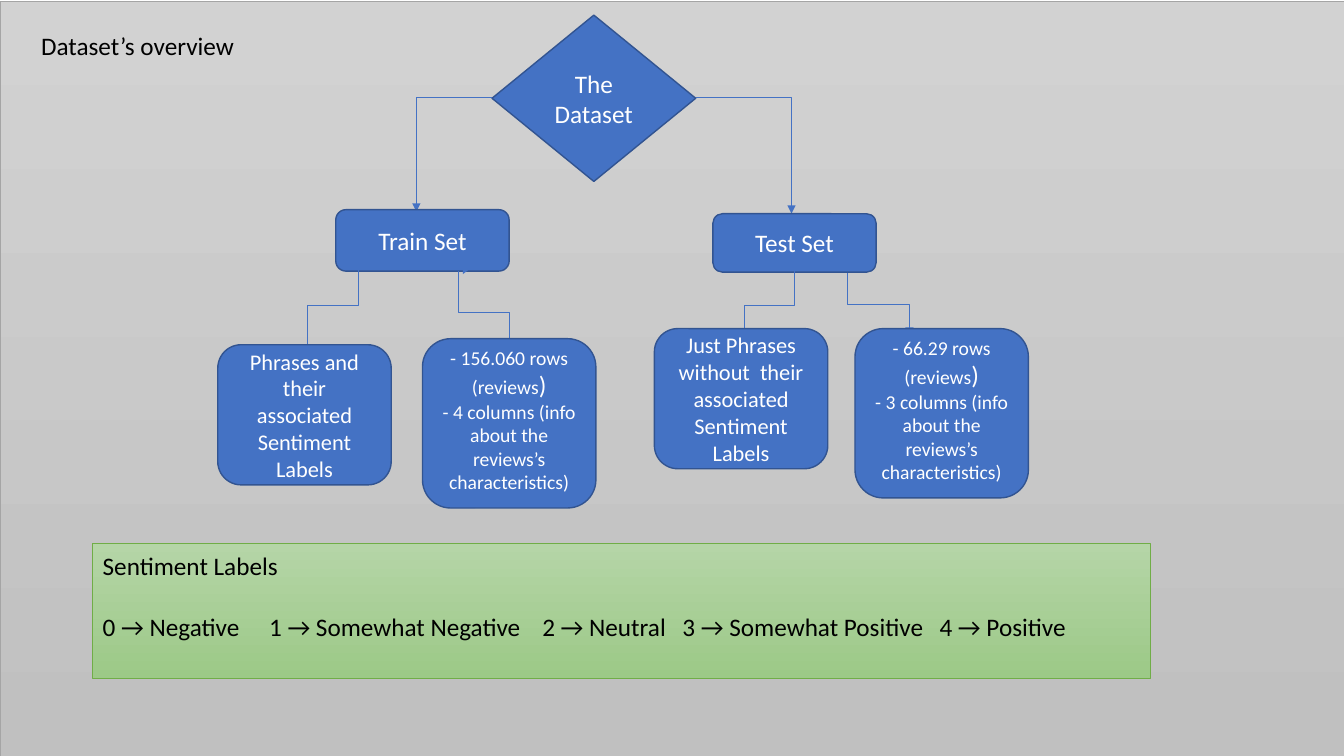
"""Build the slide that charts a review dataset and its sentiment labels."""
from dataclasses import dataclass
from typing import Any

from lxml.etree import SubElement
from pptx import Presentation
from pptx.dml.color import RGBColor
from pptx.enum.shapes import MSO_CONNECTOR, MSO_SHAPE
from pptx.enum.text import MSO_ANCHOR, PP_ALIGN
from pptx.oxml.ns import qn
from pptx.util import Inches, Pt

BLUE, NAVY, WHITE, BLACK = "4472C4", "325491", "FFFFFF", "000000"
FONT = "Calibri"
WIDE, TALL = 13.33, 7.5
LEAF = 1.72
TABS = (1.65, 4.36, 5.75, 8.3)
LABELS = ("Negative", "Somewhat Negative", "Neutral", "Somewhat Positive", "Positive")

Area = tuple[float, float, float, float]
Point = tuple[float, float]
Lines = tuple[tuple[tuple[str, int], ...], ...]


@dataclass(frozen=True)
class Node:
    """A blue box with centred white text."""

    area: Area
    lines: Lines
    kind: MSO_SHAPE = MSO_SHAPE.ROUNDED_RECTANGLE
    base: float = 0.05


@dataclass(frozen=True)
class Link:
    """A bent arrow, falling first when it is a fork."""

    start: Point
    end: Point
    fork: bool = True


@dataclass(frozen=True)
class Panel:
    """A plain block shaded from top to bottom."""

    area: Area
    top: str
    low: str
    edge: str


def color(code: str) -> RGBColor:
    """Turn a hex string into a colour."""
    return RGBColor.from_string(code)


def assign(target: Any, values: dict[str, Any]) -> None:
    """Set each named value on the target."""
    for name, value in values.items():
        setattr(target, name, value)


def inches(values: tuple[float, ...]) -> list[int]:
    """Turn numbers into lengths."""
    return [Inches(value) for value in values]


def stroke(line: Any, code: str, width: float) -> None:
    """Give a line its colour and width."""
    line.color.rgb = color(code)
    line.width = Pt(width)


def write(frame: Any, lines: Lines, ink: str, form: dict[str, Any]) -> None:
    """Fill a text frame, one paragraph a line."""
    frame.word_wrap = True
    for index, runs in enumerate(lines):
        para = frame.paragraphs[0] if index == 0 else frame.add_paragraph()
        assign(para, form)
        for text, size in runs:
            run = para.add_run()
            run.text = text
            assign(run.font, {"size": Pt(size), "name": FONT})
            run.font.color.rgb = color(ink)


def draw_node(slide: Any, node: Node) -> None:
    """Draw one box of the tree."""
    shape = slide.shapes.add_shape(node.kind, *inches(node.area))
    shape.shadow.inherit = False
    shape.fill.solid()
    shape.fill.fore_color.rgb = color(BLUE)
    stroke(shape.line, NAVY, 1)
    assign(shape.text_frame, {"vertical_anchor": MSO_ANCHOR.MIDDLE,
                              "margin_bottom": Inches(node.base)})
    write(shape.text_frame, node.lines, WHITE, {"alignment": PP_ALIGN.CENTER})


def draw_link(slide: Any, link: Link) -> None:
    """Draw one bent arrow, turned a quarter when it is a fork."""
    (left, top), (right, low) = link.start, link.end
    ends = (left, top, right, low)
    if link.fork:
        mid, level = (left + right) / 2, (top + low) / 2
        run, drop = (right - left) / 2, (low - top) / 2
        ends = (mid - drop, level + run, mid + drop, level - run)
    wire = slide.shapes.add_connector(MSO_CONNECTOR.ELBOW, *inches(ends))
    stroke(wire.line, BLUE, 0.5)
    props = wire._element.spPr
    if link.fork:
        props.find(qn("a:xfrm")).set("rot", str(90 * 60000))
    else:
        props.find(qn("a:prstGeom")).set("prst", "bentConnector2")
    SubElement(props.find(qn("a:ln")), qn("a:tailEnd"), type="triangle")
    SubElement(props, qn("a:effectLst"))


def draw_panel(slide: Any, panel: Panel) -> None:
    """Draw one shaded block."""
    shape = slide.shapes.add_shape(MSO_SHAPE.RECTANGLE, *inches(panel.area))
    shape.shadow.inherit = False
    shape.fill.gradient()
    shape.fill.gradient_angle = 270
    for stop, code in zip(shape.fill.gradient_stops, (panel.top, panel.low)):
        stop.color.rgb = color(code)
    stroke(shape.line, panel.edge, 0.5)


def draw_text(slide: Any, area: Area, lines: Lines) -> Any:
    """Draw black text and return its frame."""
    frame = slide.shapes.add_textbox(*inches(area)).text_frame
    write(frame, lines, BLACK, {"alignment": PP_ALIGN.LEFT})
    return frame


def draw_key(slide: Any) -> None:
    """Draw the key to the labels on tab stops."""
    key = "\t".join(f"{rank} → {name}" for rank, name in enumerate(LABELS))
    frame = draw_text(slide, (0.92, 5.41, 10.49, 1.62),
                      ((("Sentiment Labels", 18),), ((key, 18),)))
    para = frame.paragraphs[1]
    para.space_before = Pt(22)
    stops = SubElement(para._p.get_or_add_pPr(), qn("a:tabLst"))
    for place in TABS:
        SubElement(stops, qn("a:tab"), pos=str(Inches(place)), algn="l")


def phrase(left: float, top: float, text: str) -> Node:
    """Make a leaf that tells what a set holds."""
    return Node((left, top, LEAF, 1.39), (((text, 16),),))


def count(left: float, top: float, rows: str, columns: int) -> Node:
    """Make a leaf that tells the size of a set."""
    info = f"- {columns} columns (info about the reviews’s characteristics)"
    lines = (((f"- {rows} rows (reviews", 14), (")", 18)), ((info, 14),))
    return Node((left, top, LEAF, 1.68), lines, base=0.12)


TREE = (
    Node((4.88, 0.15, 2.02, 1.65), ((("The Dataset", 18),),), MSO_SHAPE.DIAMOND),
    Link((6.9, 0.97), (7.85, 2.12), False),
    Link((4.88, 0.97), (4.13, 2.1), False),
    Node((3.33, 2.08, 1.72, 0.61), ((("Train Set", 18),),)),
    Node((7.07, 2.12, 1.62, 0.58), ((("Test Set", 18),),)),
    Link((3.55, 2.56), (3.05, 3.5)),
    phrase(2.16, 3.42, "Phrases and their associated Sentiment Labels"),
    Link((4.6, 2.7), (4.59, 2.72)),
    Link((4.55, 2.69), (5.05, 3.5)),
    count(4.19, 3.36, "156.060", 4),
    Link((7.88, 2.69), (7.38, 3.36)),
    phrase(6.49, 3.26, "Just Phrases without  their associated Sentiment Labels"),
    Link((8.4, 2.71), (9.02, 3.33)),
    count(8.48, 3.26, "66.29", 3),
)


def main() -> None:
    """Build and save the slide."""
    deck = Presentation()
    assign(deck, {"slide_width": Inches(WIDE), "slide_height": Inches(TALL)})
    slide = deck.slides.add_slide(deck.slide_layouts[6])
    draw_panel(slide, Panel((0, 0.01, WIDE, TALL - 0.01), "D2D2D2", "C0C0C0", "A5A5A5"))
    for item in TREE:
        if isinstance(item, Node):
            draw_node(slide, item)
        else:
            draw_link(slide, item)
    draw_text(slide, (0.31, 0.25, 2.94, 0.4), ((("Dataset’s overview", 18),),))
    draw_panel(slide, Panel((0.92, 5.39, 10.49, 1.34), "B5D5A7", "9CC987", "70AD47"))
    draw_key(slide)
    deck.save("out.pptx")


main()
